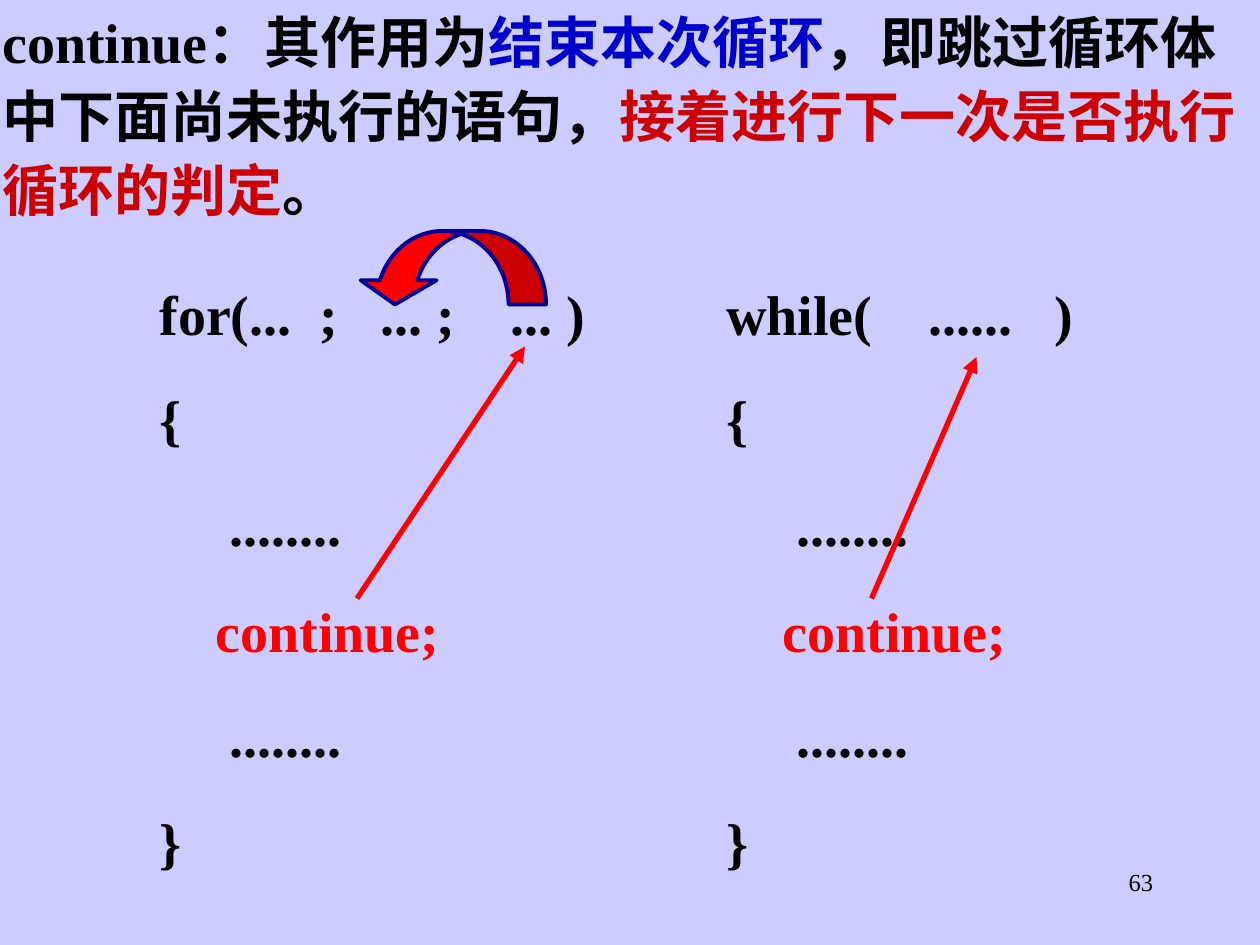
from lxml.etree import SubElement
from pptx import Presentation
from pptx.dml.color import RGBColor
from pptx.enum.shapes import MSO_CONNECTOR as Connector, MSO_SHAPE as Shape
from pptx.enum.text import PP_ALIGN as Align
from pptx.oxml.ns import qn
from pptx.util import Pt

COLORS = {
    "background": "CCCCFF",
    "text": "000000",
    "emphasis": "0000CC",
    "warning": "CC0000",
    "jump": "FF0000",
    "outline": "000099",
}
FONT = "Times New Roman"
DEFINITION = [
    ("continue：其作用为", "text"),
    ("结束本次循环", "emphasis"),
    ("，即跳过循环体中下面尚未执行的语句，", "text"),
    ("接着进行下一次是否执行循环的判定", "warning"),
    ("。", "text"),
]
LOOP_BODY = [
    [("{", "text")],
    [("     ........", "text")],
    [("    ", "text"), ("continue;", "jump")],
    [("     ........", "text")],
    [("}", "text")],
]


def color(name):
    return RGBColor.from_string(COLORS[name])


def add_text(slide, box, lines, size=32, bold=True, insets=(7.2, 3.6),
             space_before=0, line_spacing=None, align=Align.LEFT):
    shape = slide.shapes.add_textbox(*map(Pt, box))
    text_frame = shape.text_frame
    text_frame.word_wrap = True
    text_frame.margin_left = text_frame.margin_right = Pt(insets[0])
    text_frame.margin_top = text_frame.margin_bottom = Pt(insets[1])
    for index, line in enumerate(lines):
        paragraph = text_frame.add_paragraph() if index else text_frame.paragraphs[0]
        paragraph.alignment = align
        paragraph.space_before = Pt(space_before if index else 0)
        paragraph.line_spacing = line_spacing
        for text, color_name in line:
            run = paragraph.add_run()
            run.text = text
            run.font.name = FONT
            run.font.size = Pt(size)
            run.font.bold = bold
            run.font.color.rgb = color(color_name)


def add_loop(slide, left, header):
    lines = [[(header, "text")]] + LOOP_BODY
    add_text(slide, (left, 156, 270, 338), lines, space_before=22)


def add_jump_arrow(slide, start, end):
    connector = slide.shapes.add_connector(
        Connector.STRAIGHT, *map(Pt, start + end))
    connector.line.color.rgb = color("jump")
    connector.line.width = Pt(3)
    line = connector.line._get_or_add_ln()
    SubElement(line, qn("a:tailEnd"), type="triangle")
    SubElement(connector._element.spPr, qn("a:effectLst"))


def add_curved_arrow(slide, box):
    shape = slide.shapes.add_shape(Shape.CURVED_UP_ARROW, *map(Pt, box))
    shape.rotation = 180
    shape.shadow.inherit = False
    for index, value in enumerate((0.51, 1.03, 0.33)):
        shape.adjustments[index] = value
    shape.fill.solid()
    shape.fill.fore_color.rgb = color("jump")
    shape.line.color.rgb = color("outline")
    shape.line.width = Pt(2.25)


def main():
    presentation = Presentation()
    presentation.slide_width = Pt(720)
    presentation.slide_height = Pt(540)
    slide = presentation.slides.add_slide(presentation.slide_layouts[6])
    slide.background.fill.solid()
    slide.background.fill.fore_color.rgb = color("background")

    add_text(slide, (516, 492, 150, 36), [[("63", "text")]],
             size=14, bold=False, align=Align.RIGHT)
    add_text(slide, (0, 0, 720, 128), [DEFINITION],
             insets=(1.4, 0.7), line_spacing=1.1)
    add_loop(slide, 84, "for(...  ;   ... ;    ... )")
    add_jump_arrow(slide, (204, 342), (300, 198))
    add_curved_arrow(slide, (204, 132, 108, 42))
    add_loop(slide, 408, "while(    ......   )")
    add_jump_arrow(slide, (498, 342), (558, 204))
    presentation.save("out.pptx")


if __name__ == "__main__":
    main()
